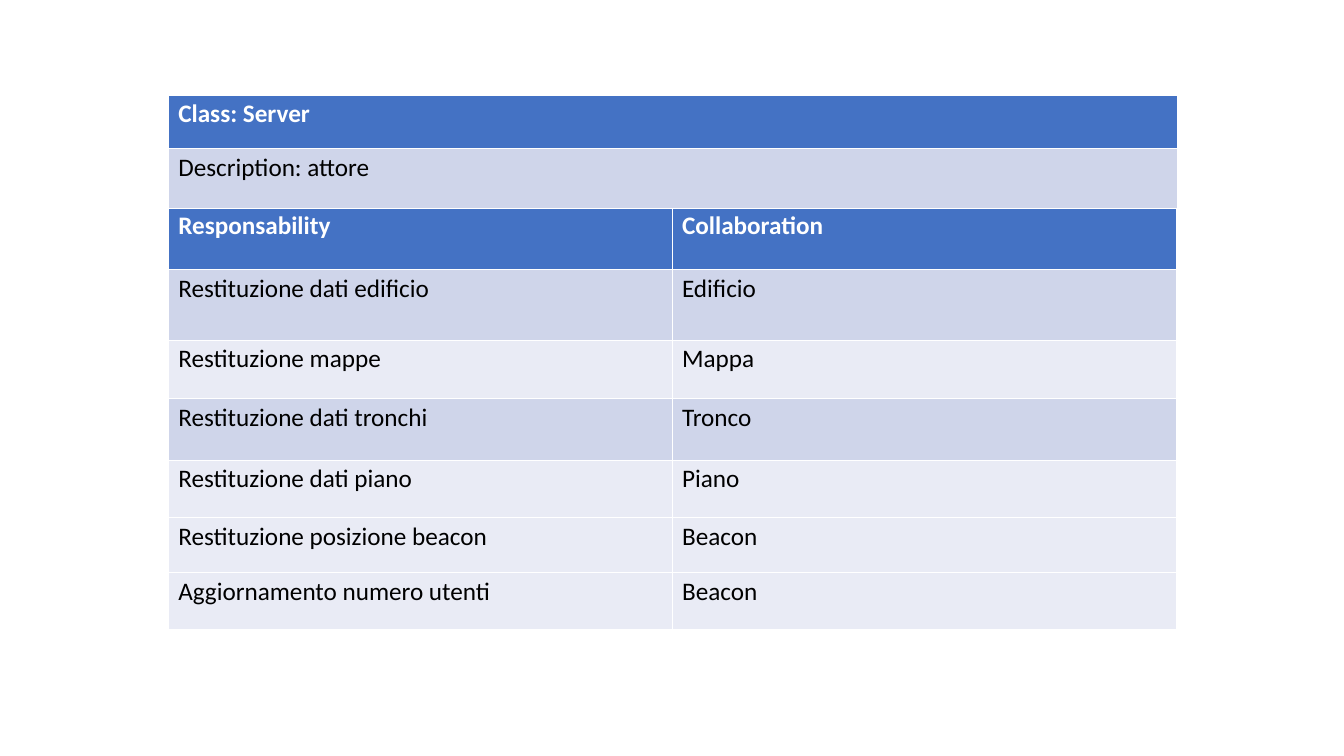
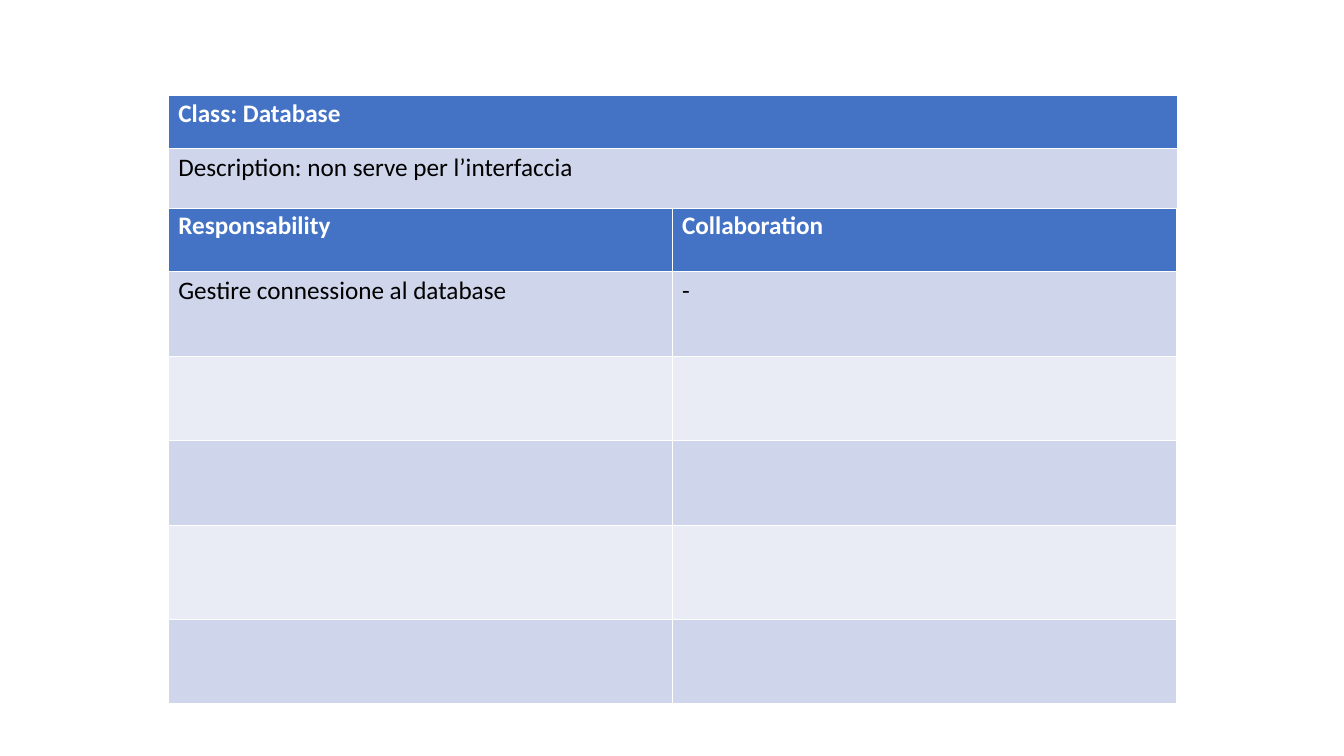
from dataclasses import dataclass

from lxml.etree import SubElement
from pptx import Presentation
from pptx.dml.color import RGBColor as RGB
from pptx.oxml.ns import qn
from pptx.util import Inches, Pt


@dataclass(frozen=True)
class Theme:
    font: str = "Calibri"
    size: float = 18
    line_spacing: float = 0.94
    header_fill: str = "4472C4"
    header_text: str = "FFFFFF"
    body_text: str = "000000"
    bands: tuple = ("CFD5EA", "E9EBF5")
    border: str = "FFFFFF"
    thin: float = 0.06
    thick: float = 0.17


THEME = Theme()
LEFT, CLASS_TOP, DETAIL_TOP = 1.67, 0.94, 2.05
CLASS_HEIGHTS = (0.53, 0.59)


def set_borders(cell, top, bottom):
    """Draw the four cell borders; this must come before the fill."""
    tcPr = cell._tc.get_or_add_tcPr()
    widths = {"lnL": THEME.thin, "lnR": THEME.thin, "lnT": top, "lnB": bottom}
    for side, width in widths.items():
        ln = SubElement(tcPr, qn(f"a:{side}"), w=str(Pt(width)))
        fill = SubElement(ln, qn("a:solidFill"))
        SubElement(fill, qn("a:srgbClr"), val=THEME.border)


def style_cell(cell, text, row, fill):
    is_header = row == 0
    set_borders(cell,
                top=THEME.thick if row == 1 else THEME.thin,
                bottom=THEME.thick if is_header else THEME.thin)
    cell.fill.solid()
    cell.fill.fore_color.rgb = RGB.from_string(fill)
    cell.text = text
    p = cell.text_frame.paragraphs[0]
    p.line_spacing = THEME.line_spacing
    p.font.name = THEME.font
    p.font.size = Pt(THEME.size)
    p.font.bold = is_header
    color = THEME.header_text if is_header else THEME.body_text
    p.font.color.rgb = RGB.from_string(color)


def add_grid(s, top, width, heights, rows, banded):
    """Add a table with a header row; rows past the banded ones stay pale."""
    cols = len(rows[0])
    table = s.shapes.add_table(len(rows), cols, Inches(LEFT), Inches(top),
                               Inches(width), Inches(sum(heights))).table
    table.first_row = table.horz_banding = False
    for col in table.columns:
        col.width = Inches(width / cols)
    for i, (height, texts) in enumerate(zip(heights, rows)):
        table.rows[i].height = Inches(height)
        if i == 0:
            fill = THEME.header_fill
        else:
            fill = THEME.bands[(i - 1) % 2 if i <= banded else 1]
        for j, text in enumerate(texts):
            style_cell(table.cell(i, j), text, i, fill)


def add_class_card(prs, name, description, duties, heights, banded):
    s = prs.slides.add_slide(prs.slide_layouts[6])
    # Responsibilities and collaborators
    rows = [("Responsability", "Collaboration"), *duties]
    add_grid(s, DETAIL_TOP, 10, heights, rows, banded)
    # Class name and description
    heading = [(f"Class: {name}",), (f"Description: {description}",)]
    add_grid(s, CLASS_TOP, 10.01, CLASS_HEIGHTS, heading, banded=1)


def main():
    prs = Presentation()
    prs.slide_width, prs.slide_height = Inches(13.34), Inches(7.5)

    add_class_card(
        prs, "Server", "attore",
        [("Restituzione dati edificio", "Edificio"),
         ("Restituzione mappe", "Mappa"),
         ("Restituzione dati tronchi", "Tronco"),
         ("Restituzione dati piano", "Piano"),
         ("Restituzione posizione beacon", "Beacon"),
         ("Aggiornamento numero utenti", "Beacon")],
        heights=(0.62, 0.7, 0.58, 0.61, 0.57, 0.55, 0.56), banded=4)

    add_class_card(
        prs, "Database", "non serve per l’interfaccia",
        [("Gestire connessione al database", "-")] + [("", "")] * 4,
        heights=(0.64, 0.84, 0.84, 0.84, 0.93, 0.84), banded=5)

    prs.save("out.pptx")


if __name__ == "__main__":
    main()
